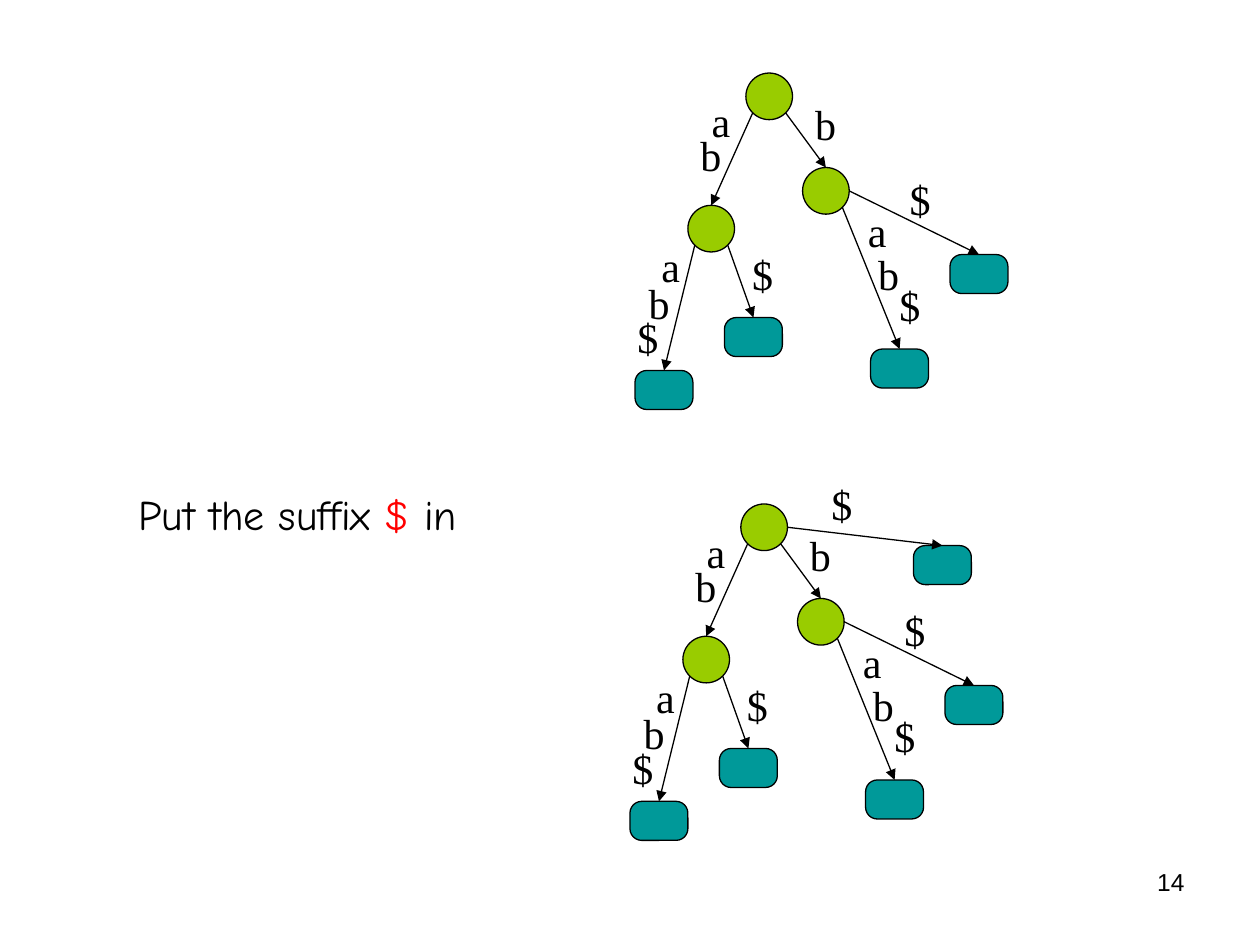
from math import sqrt
from typing import NamedTuple

from lxml.etree import SubElement
from pptx import Presentation
from pptx.dml.color import RGBColor
from pptx.enum.shapes import MSO_CONNECTOR, MSO_SHAPE
from pptx.enum.text import MSO_AUTO_SIZE, PP_ALIGN
from pptx.oxml.ns import qn
from pptx.shapes.autoshape import Shape
from pptx.slide import Slide
from pptx.util import Inches, Pt

COLORS = {"ink": "000000", "node": "99CC00", "leaf": "009999", "accent": "FF0000"}
NODE_SIZE = 0.37
LEAF_WIDTH, LEAF_HEIGHT = 0.46, 0.31
LABEL_WIDTH, LABEL_HEIGHT = 0.42, 0.5
DIAGONAL = 1 / sqrt(2)
EXITS = {
    "lower left": (-DIAGONAL, DIAGONAL),
    "lower right": (DIAGONAL, DIAGONAL),
    "right": (1, 0),
}


class Vertex(NamedTuple):
    left: float
    top: float
    is_leaf: bool = False


class Letter(NamedTuple):
    text: str
    left: float
    top: float


class Edge(NamedTuple):
    parent: str
    child: str
    exit_side: str
    letters: tuple[Letter, ...]


class Tree(NamedTuple):
    dx: float
    dy: float
    vertices: dict[str, Vertex]
    edges: list[Edge]


VERTICES = {
    "root": Vertex(5.92, 0.58),
    "ab": Vertex(5.46, 1.63),
    "b": Vertex(6.37, 1.33),
    "abab$": Vertex(5.04, 2.94, True),
    "ab$": Vertex(5.75, 2.52, True),
    "bab$": Vertex(6.91, 2.77, True),
    "b$": Vertex(7.54, 2.02, True),
}
EDGES = [
    Edge("root", "ab", "lower left", (Letter("a", 5.55, 0.71), Letter("b", 5.46, 0.98))),
    Edge("root", "b", "lower right", (Letter("b", 6.37, 0.73),)),
    Edge("ab", "abab$", "lower left",
         (Letter("a", 5.15, 1.86), Letter("b", 5.05, 2.15), Letter("$", 4.96, 2.42))),
    Edge("ab", "ab$", "lower right", (Letter("$", 5.87, 1.92),)),
    Edge("b", "bab$", "lower right",
         (Letter("a", 6.79, 1.58), Letter("b", 6.87, 1.92), Letter("$", 7.04, 2.17))),
    Edge("b", "b$", "right", (Letter("$", 7.12, 1.33),)),
]
TREES = [
    Tree(0, 0, VERTICES, EDGES),
    Tree(-0.04, 3.42,
         VERTICES | {"$": Vertex(7.29, 0.91, True)},
         EDGES + [Edge("root", "$", "right", (Letter("$", 6.54, 0.33),))]),
]


def rgb(name: str) -> RGBColor:
    return RGBColor.from_string(COLORS[name])


def add_text(slide: Slide, text: str, left: float, top: float, width: float,
             height: float, font_name: str, size: float) -> Shape:
    box = slide.shapes.add_textbox(Inches(left), Inches(top), Inches(width), Inches(height))
    frame = box.text_frame
    frame.word_wrap = True
    frame.auto_size = MSO_AUTO_SIZE.NONE
    frame.text = text
    font = frame.paragraphs[0].runs[0].font
    font.name, font.size = font_name, Pt(size)
    font.color.rgb = rgb("ink")
    return box


def add_vertex(slide: Slide, vertex: Vertex, dx: float, dy: float) -> Shape:
    kind, width, height, color = (
        (MSO_SHAPE.ROUNDED_RECTANGLE, LEAF_WIDTH, LEAF_HEIGHT, "leaf")
        if vertex.is_leaf
        else (MSO_SHAPE.OVAL, NODE_SIZE, NODE_SIZE, "node")
    )
    shape = slide.shapes.add_shape(kind, Inches(vertex.left + dx), Inches(vertex.top + dy),
                                   Inches(width), Inches(height))
    if vertex.is_leaf:
        shape.adjustments[0] = 0.3
    shape.shadow.inherit = False
    shape.fill.solid()
    shape.fill.fore_color.rgb = rgb(color)
    shape.line.color.rgb = rgb("ink")
    shape.line.width = Pt(0.75)
    return shape


def add_edge(slide: Slide, parent: Shape, child: Shape, exit_side: str) -> None:
    radius = parent.width / 2
    across, down = EXITS[exit_side]
    x = round(parent.left + radius * (1 + across))
    y = round(parent.top + radius * (1 + down))
    arrow = slide.shapes.add_connector(MSO_CONNECTOR.STRAIGHT, x, y, x, y)
    arrow.end_connect(child, 0)
    arrow.line.color.rgb = rgb("ink")
    arrow.line.width = Pt(0.75)
    SubElement(arrow.line._get_or_add_ln(), qn("a:tailEnd"), type="triangle")
    SubElement(arrow._element.spPr, qn("a:effectLst"))


def add_tree(slide: Slide, tree: Tree) -> None:
    drawn = {name: add_vertex(slide, vertex, tree.dx, tree.dy)
             for name, vertex in tree.vertices.items()}
    for edge in tree.edges:
        add_edge(slide, drawn[edge.parent], drawn[edge.child], edge.exit_side)
        for letter in edge.letters:
            add_text(slide, letter.text, letter.left + tree.dx, letter.top + tree.dy,
                     LABEL_WIDTH, LABEL_HEIGHT, "Times New Roman", 24)


def add_step(slide: Slide) -> None:
    step = add_text(slide, "Put the suffix ", 1, 3.83, 3.83, 0.5, "Comic Neue", 24)
    paragraph = step.text_frame.paragraphs[0]
    for text, color in (("$", "accent"), (" in", "ink")):
        run = paragraph.add_run()
        run.text = text
        run.font.name, run.font.size = "Comic Neue", Pt(24)
        run.font.color.rgb = rgb(color)


def main() -> None:
    presentation = Presentation()
    presentation.slide_width, presentation.slide_height = Inches(10), Inches(7.5)
    slide = presentation.slides.add_slide(presentation.slide_layouts[6])
    add_step(slide)
    for tree in TREES:
        add_tree(slide, tree)
    page_number = add_text(slide, "14", 7.17, 6.83, 2.33, 0.52, "Arial", 14)
    page_number.text_frame.paragraphs[0].alignment = PP_ALIGN.RIGHT
    presentation.save("out.pptx")


if __name__ == "__main__":
    main()
